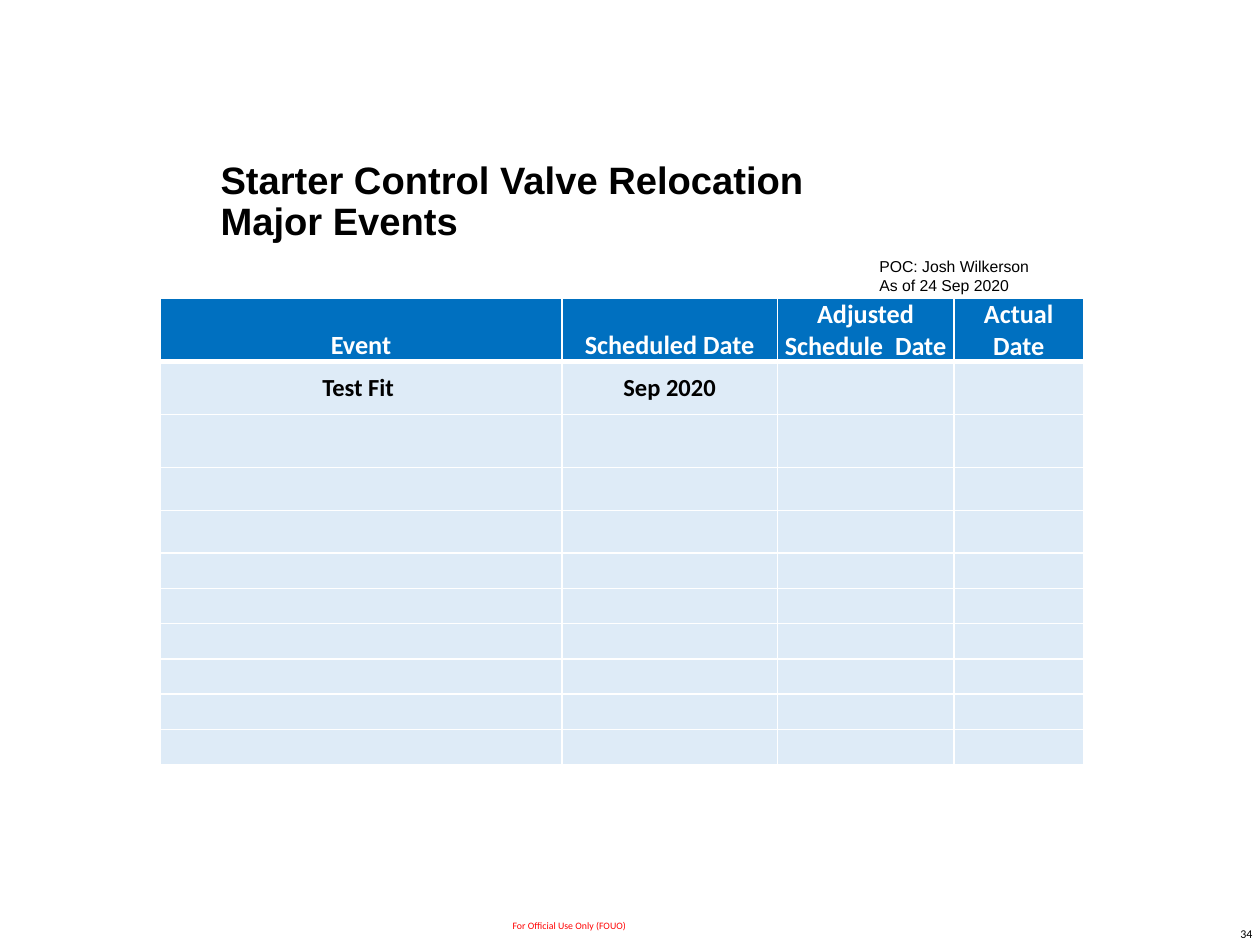
from copy import deepcopy

from lxml import etree
from pptx import Presentation
from pptx.dml.color import RGBColor
from pptx.enum.text import MSO_ANCHOR as Anchor, MSO_AUTO_SIZE as AutoSize, PP_ALIGN as Align
from pptx.oxml.ns import qn
from pptx.util import Inches, Pt

COLUMN_WIDTHS = [3.19, 1.71, 1.4, 1.03]
ROW_HEIGHTS = [0.5] + [0.42] * 2 + [0.34] * 2 + [0.28] * 6
EVENT_ROWS = [
    ["Event", "Scheduled Date", "Adjusted Schedule  Date", "Actual Date"],
    ["Test Fit ", "Sep 2020"],
]


def color(hex_string):
    return RGBColor.from_string(hex_string)


def add_run(paragraph, text, size, font_name, hex_string="000000", bold=False):
    run = paragraph.add_run()
    run.text = text
    run.font.size = Pt(size)
    run.font.name = font_name
    run.font.bold = bold
    run.font.color.rgb = color(hex_string)
    return run


def add_text(slide, box, lines, size, font_name, hex_string="000000", align=Align.LEFT):
    frame = slide.shapes.add_textbox(*map(Inches, box)).text_frame
    frame.word_wrap = True
    for index, line in enumerate(lines):
        paragraph = frame.add_paragraph() if index else frame.paragraphs[0]
        paragraph.alignment = align
        add_run(paragraph, line, size, font_name, hex_string)
    return frame


def set_margins(item, side, top):
    item.margin_left = item.margin_right = Inches(side)
    item.margin_top = item.margin_bottom = Inches(top)


def add_title(slide, box, lines):
    title = slide.shapes.title
    title.left, title.top, title.width, title.height = map(Inches, box)
    frame = title.text_frame
    frame.auto_size = AutoSize.NONE
    frame.vertical_anchor = Anchor.MIDDLE
    paragraph = frame.paragraphs[0]
    paragraph.alignment = Align.LEFT
    paragraph.line_spacing = 0.9
    first, second = lines
    run = add_run(paragraph, first, 21.8, "Arial", bold=True)
    paragraph.add_line_break()
    # The break takes the run's size, so that it does not stretch the line
    paragraph._p.find(qn("a:br")).append(deepcopy(run.font._element))
    add_run(paragraph, second, 21.8, "Arial", bold=True)


def set_borders(cell, widths):
    properties = cell._tc.get_or_add_tcPr()
    for index, (side, width) in enumerate(widths.items()):
        line = etree.Element(qn(f"a:ln{side}"), w=str(Pt(width)))
        fill = etree.SubElement(line, qn("a:solidFill"))
        etree.SubElement(fill, qn("a:srgbClr"), val="FFFFFF")
        properties.insert(index, line)


def format_cell(cell, row, text):
    header = row == 0
    cell.fill.solid()
    cell.fill.fore_color.rgb = color("0070C0" if header else "DEEBF7")
    set_margins(cell, 0.04, 0)
    cell.vertical_anchor = Anchor.BOTTOM if header else Anchor.MIDDLE
    set_borders(cell, {"L": 1, "R": 1, "T": 3 if row == 1 else 1, "B": 3 if header else 1})
    paragraph = cell.text_frame.paragraphs[0]
    paragraph.alignment = Align.CENTER
    if text:
        add_run(paragraph, text, 15 if header else 14, "Calibri",
                "FFFFFF" if header else "000000", bold=True)
    else:
        # Small type keeps empty rows at their set height
        etree.SubElement(paragraph._p, qn("a:endParaRPr"), sz="1400")


def add_event_table(slide, box):
    table = slide.shapes.add_table(
        len(ROW_HEIGHTS), len(COLUMN_WIDTHS), *map(Inches, box)).table
    table.horz_banding = False
    for column, width in zip(table.columns, COLUMN_WIDTHS):
        column.width = Inches(width)
    for row, height in enumerate(ROW_HEIGHTS):
        table.rows[row].height = Inches(height)
        texts = EVENT_ROWS[row] if row < len(EVENT_ROWS) else []
        for column in range(len(COLUMN_WIDTHS)):
            text = texts[column] if column < len(texts) else ""
            format_cell(table.cell(row, column), row, text)


def add_footer(slide, number_box, marking_box):
    number = add_text(slide, number_box, ["34"], 6.8, "Calibri", align=Align.RIGHT)
    number.vertical_anchor = Anchor.BOTTOM
    set_margins(number, 0.06, 0.03)
    marking = add_text(slide, marking_box, ["For Official Use Only (FOUO)"],
                       5.6, "Calibri", "FF0000")
    marking.word_wrap = False


def main():
    presentation = Presentation()
    presentation.slide_width, presentation.slide_height = Inches(10), Inches(7.5)
    slide = presentation.slides.add_slide(presentation.slide_layouts[5])

    # Page number and marking
    add_footer(slide, (7.92, 7, 2.08, 0.5), (3.97, 7.25, 1.13, 0.2))
    # Title
    add_title(slide, (1.65, 1.14, 6.75, 0.94),
              ["Starter Control Valve Relocation ", "Major Events"])
    # Schedule of events
    add_event_table(slide, (1.27, 2.37, 7.33, 3.67))
    # Contact and date
    add_text(slide, (6.88, 1.99, 1.52, 0.4),
             ["POC: Josh Wilkerson", "As of 24 Sep 2020"], 9, "Arial")

    presentation.save("out.pptx")


if __name__ == "__main__":
    main()
